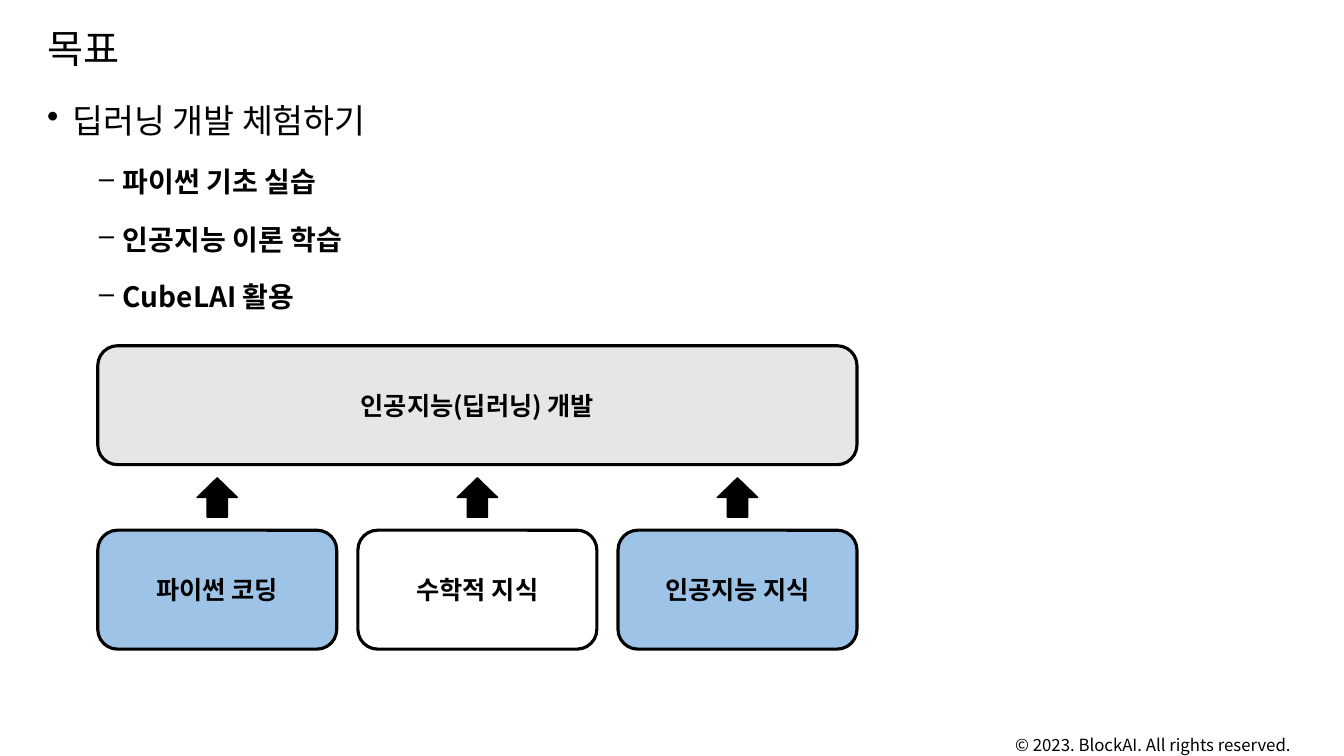
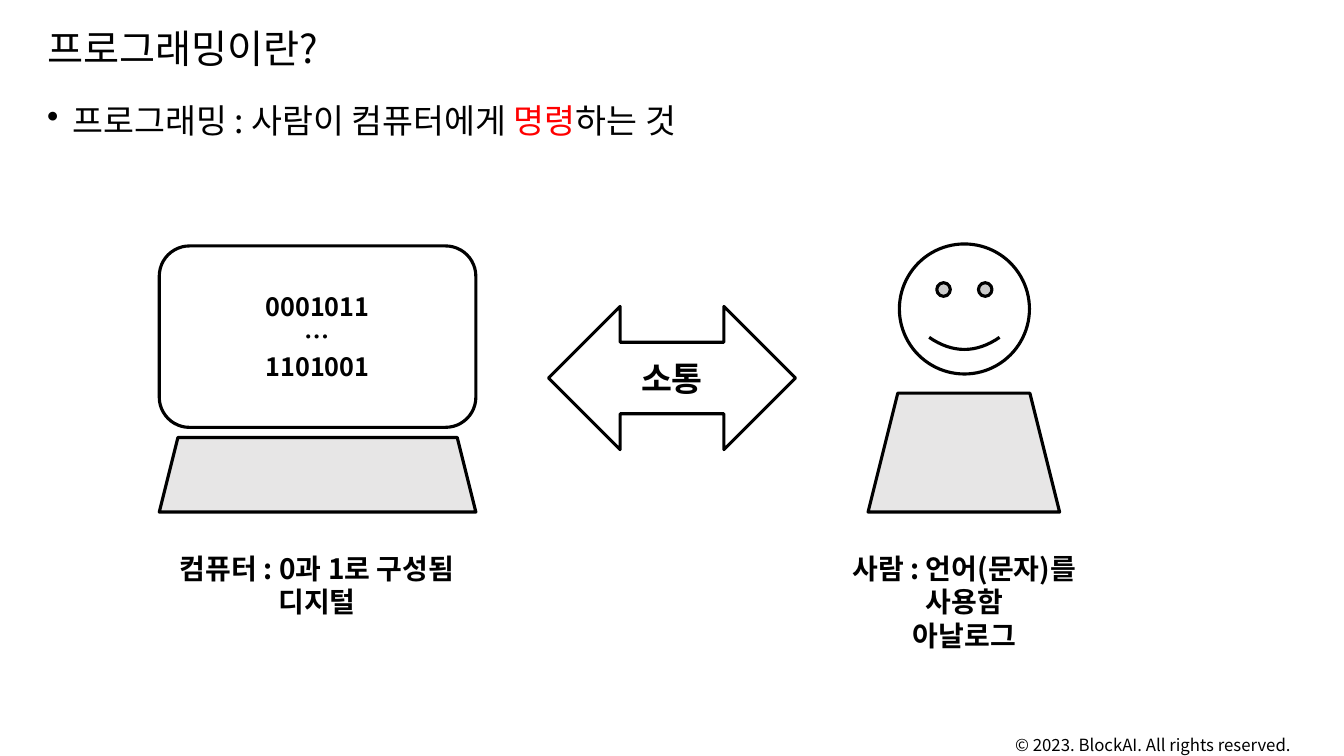
from lxml import etree
from pptx import Presentation
from pptx.dml.color import RGBColor
from pptx.enum.shapes import MSO_SHAPE
from pptx.enum.text import MSO_ANCHOR, PP_ALIGN
from pptx.oxml.ns import qn
from pptx.util import Inches, Pt

ROUND = MSO_SHAPE.ROUNDED_RECTANGLE
TRAP = MSO_SHAPE.TRAPEZOID
SMILE = MSO_SHAPE.SMILEY_FACE
UP = MSO_SHAPE.UP_ARROW
BOTH = MSO_SHAPE.LEFT_RIGHT_ARROW
TOP, MIDDLE = MSO_ANCHOR.TOP, MSO_ANCHOR.MIDDLE
LEFT, CENTER = PP_ALIGN.LEFT, PP_ALIGN.CENTER

FONT = "Noto Sans CJK KR"
BLACK, WHITE, RED = "000000", "FFFFFF", "FF0000"
GRAY, BLUE = "E7E6E6", "9DC3E6"
FOOTER = "© 2023. BlockAI. All rights reserved."


def color(value):
    return RGBColor.from_string(value)


class Deck:
    def __init__(self):
        self.prs = Presentation()
        self.prs.slide_width = Inches(13.33)
        self.prs.slide_height = Inches(7.5)
        self.slide = None

    def page(self, title):
        """Start a slide with the shared title and footer."""
        self.slide = self.prs.slides.add_slide(self.prs.slide_layouts[6])
        self.text(9.97, 7.28, 3, 0.21, FOOTER, 12, anchor=MIDDLE)
        head = self.text(0.37, 0.21, 12.6, 0.59, title, 28, anchor=MIDDLE)
        head.paragraphs[0].line_spacing = 0.9

    def style(self, run, size, bold=False, ink=BLACK):
        font = run.font
        font.size, font.bold, font.name = Pt(size), bold, FONT
        font.color.rgb = color(ink)
        latin = run._r.rPr.find(qn("a:latin"))
        east = etree.Element(qn("a:ea"), typeface=FONT)
        latin.addnext(east)

    def label(self, frame, text, size, bold, align, anchor):
        frame.text = text
        frame.word_wrap = True
        frame.vertical_anchor = anchor
        for para in frame.paragraphs:
            para.alignment = align
            for run in para.runs:
                self.style(run, size, bold)

    def text(self, x, y, w, h, text, size, bold=False, align=LEFT, anchor=TOP):
        box = self.slide.shapes.add_textbox(
            Inches(x), Inches(y), Inches(w), Inches(h))
        self.label(box.text_frame, text, size, bold, align, anchor)
        return box.text_frame

    def shape(self, kind, x, y, w, h, fill, text="", size=18, line=2.25):
        form = self.slide.shapes.add_shape(
            kind, Inches(x), Inches(y), Inches(w), Inches(h))
        form.shadow.inherit = False
        form.fill.solid()
        form.fill.fore_color.rgb = color(fill)
        form.line.color.rgb = color(BLACK)
        form.line.width = Pt(line)
        if text:
            self.label(form.text_frame, text, size, True, CENTER, MIDDLE)

    def bullet(self, para, mark, left):
        props = para._p.get_or_add_pPr()
        props.set("marL", str(Inches(left)))
        props.set("indent", str(Inches(-0.25)))
        etree.SubElement(props, qn("a:buChar"), char=mark)

    def body(self, parts, items=()):
        """Add a main point of coloured parts, then its sub-points."""
        frame = self.text(0.37, 0.99, 12.6, 5.91, "", 24)
        main = frame.paragraphs[0]
        self.bullet(main, "•", 0.25)
        main.line_spacing = 0.9
        for text, ink in parts:
            run = main.add_run()
            run.text = text
            self.style(run, 24, ink=ink)
        for item in items:
            para = frame.add_paragraph()
            para.text = item
            para.level = 1
            self.bullet(para, "‒", 0.75)
            para.line_spacing = 1.5
            para.space_before = Pt(5)
            self.style(para.runs[0], 20, True)


def goals(deck):
    deck.page("목표")
    deck.body([("딥러닝 개발 체험하기", BLACK)],
              ["파이썬 기초 실습", "인공지능 이론 학습", "CubeLAI 활용"])

    # Three foundations below one wide result
    left, wide, step, high = 0.97, 2.37, 2.58, 1.18
    deck.shape(ROUND, left, 3.43, 2 * step + wide, high, GRAY,
               "인공지능(딥러닝) 개발")
    bases = [("파이썬 코딩", BLUE), ("수학적 지식", WHITE),
             ("인공지능 지식", BLUE)]
    for i, (name, fill) in enumerate(bases):
        x = left + i * step
        deck.shape(ROUND, x, 5.26, wide, high, fill, name)
        deck.shape(UP, x + (wide - 0.4) / 2, 4.74, 0.4, 0.39, BLACK, line=1)


def coding(deck):
    deck.page("프로그래밍이란?")
    deck.body([("프로그래밍 : 사람이 컴퓨터에게 ", BLACK), ("명령", RED),
               ("하는 것", BLACK)])

    # Computer
    deck.shape(ROUND, 1.58, 2.44, 3.14, 1.8, WHITE, "0001011\n…\n1101001")
    deck.shape(TRAP, 1.58, 4.34, 3.14, 0.74, GRAY)
    deck.text(1.67, 5.42, 2.95, 0.77, "컴퓨터 : 0과 1로 구성됨\n디지털",
              20, True, CENTER)

    # Exchange
    deck.shape(BOTH, 5.44, 3.04, 2.45, 1.42, WHITE, "소통", 24)

    # Person
    deck.shape(SMILE, 8.92, 2.42, 1.29, 1.29, WHITE)
    deck.shape(TRAP, 8.61, 3.9, 1.9, 1.18, GRAY)
    deck.text(7.95, 5.42, 3.23, 0.77, "사람 : 언어(문자)를 사용함\v아날로그",
              20, True, CENTER)


def main():
    deck = Deck()
    goals(deck)
    coding(deck)
    deck.prs.save("out.pptx")


if __name__ == "__main__":
    main()
